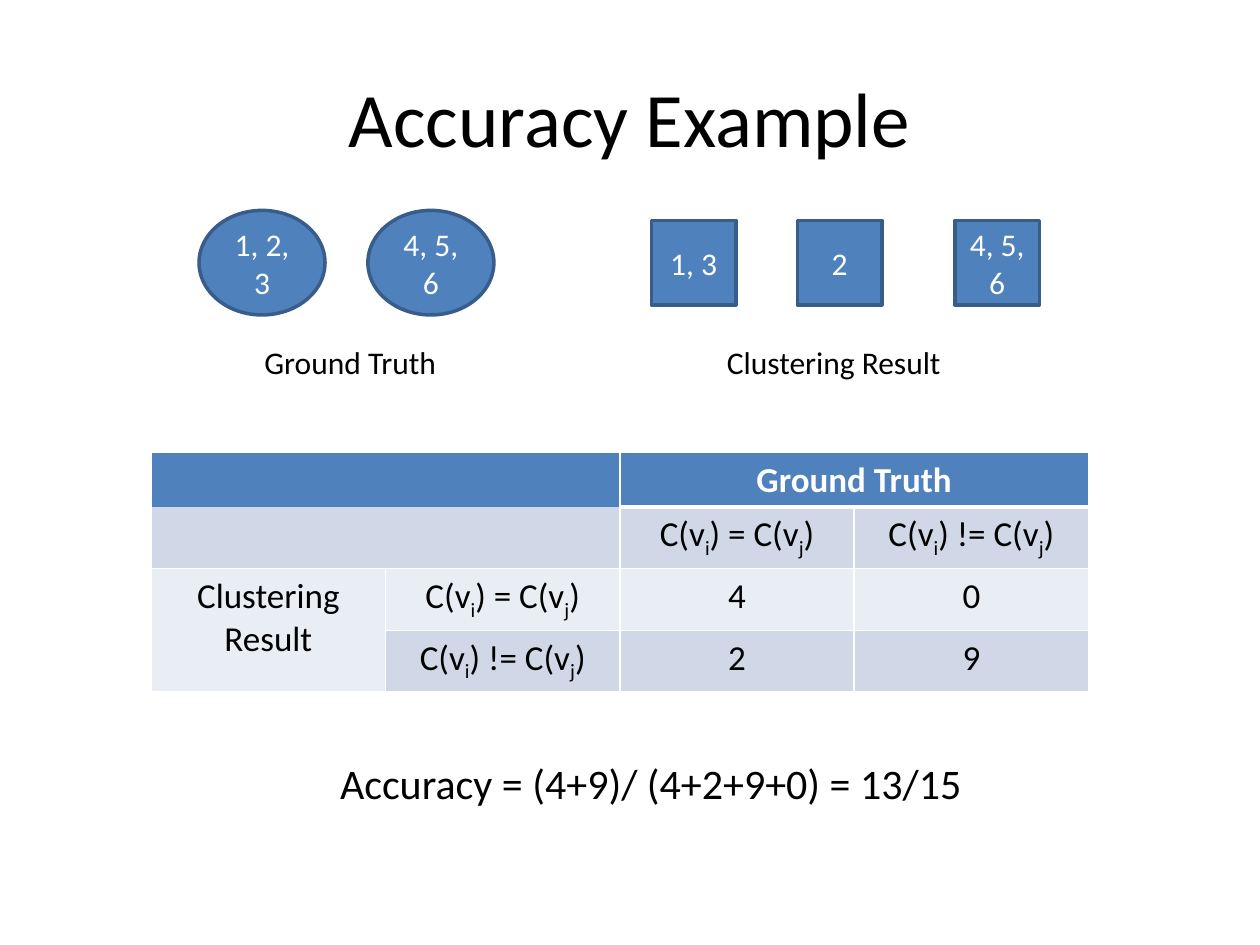
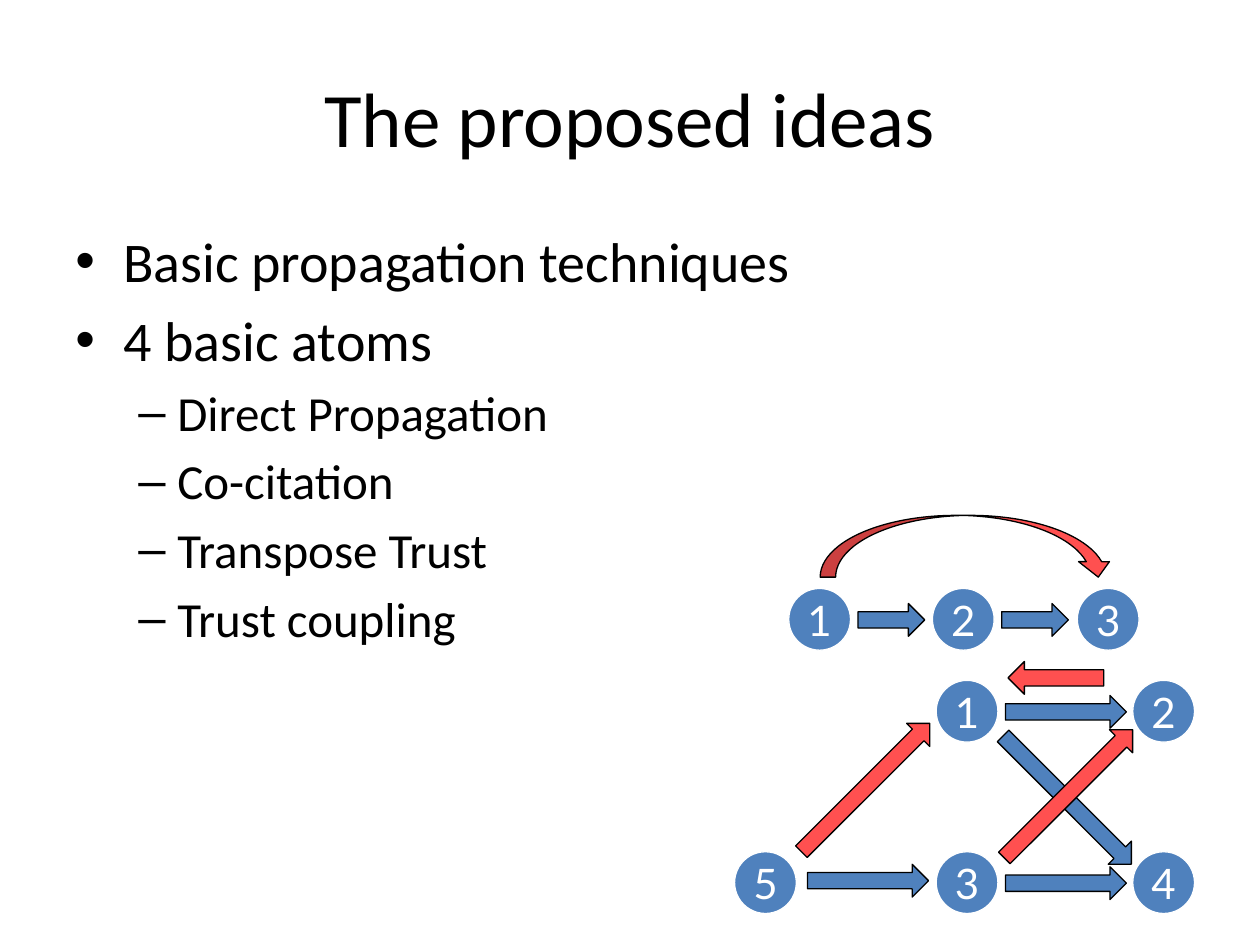
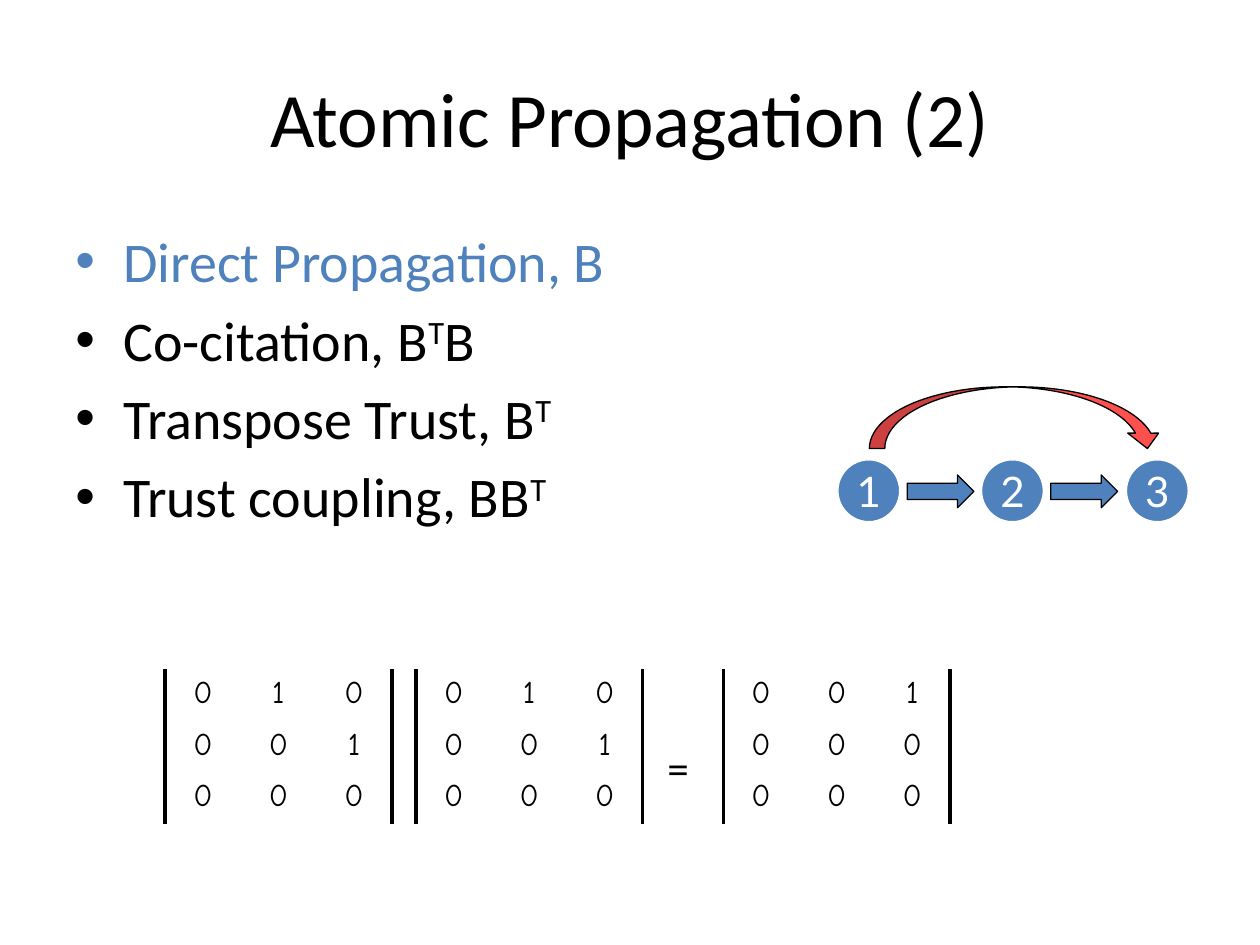
from lxml import etree
from pptx import Presentation
from pptx.dml.color import RGBColor
from pptx.enum.shapes import MSO_SHAPE
from pptx.enum.text import MSO_ANCHOR, PP_ALIGN
from pptx.oxml.ns import qn
from pptx.util import Pt

ELLIPSE, RECT = MSO_SHAPE.OVAL, MSO_SHAPE.RECTANGLE
ARROW, ARC_ARROW = MSO_SHAPE.RIGHT_ARROW, MSO_SHAPE.CURVED_DOWN_ARROW
LEFT, CENTER = PP_ALIGN.LEFT, PP_ALIGN.CENTER
TOP, MIDDLE = MSO_ANCHOR.TOP, MSO_ANCHOR.MIDDLE

BLACK = RGBColor(0x00, 0x00, 0x00)
WHITE = RGBColor(0xFF, 0xFF, 0xFF)
BLUE = RGBColor(0x4F, 0x81, 0xBD)
NAVY = RGBColor(0x38, 0x5D, 0x8A)
RED = RGBColor(0xFF, 0x50, 0x50)
BAND_DARK = RGBColor(0xD0, 0xD8, 0xE8)
BAND_LIGHT = RGBColor(0xE9, 0xED, 0xF4)

SANS, NODE_FONT, MATRIX_FONT = "Calibri", "Lato", "Comic Neue"
PLAIN_TABLE = "{2D5ABB26-0587-4C30-8999-92F81FD0307C}"
SUB, SUPER = -25, 30
NODE = 49
# Per level: bullet, size, left margin, hanging indent
LEVELS = [("•", 32, 38, 38), ("–", 28, 81, 31)]


def px(n):
    """100 px to the inch."""
    return n * 9144


class Deck:
    def __init__(self):
        self.prs = Presentation()
        self.prs.slide_width, self.prs.slide_height = px(1000), px(750)

    def slide(self, title):
        self.s = self.prs.slides.add_slide(self.prs.slide_layouts[6])
        self.text(50, 30, 900, 125, title, 44, align=CENTER, anchor=MIDDLE)

    def add_runs(self, p, text, size, color=BLACK, font=SANS, align=LEFT, bold=False, shift=SUB):
        """Fill a paragraph; every second part between bars is shifted."""
        p.alignment = align
        for i, part in enumerate(text.split("|")):
            if not part:
                continue
            r = p.add_run()
            r.text = part
            r.font.size, r.font.name, r.font.bold = Pt(size), font, bold
            r.font.color.rgb = color
            if i % 2:
                r._r.get_or_add_rPr().set("baseline", str(shift * 1000))

    def text(self, x, y, w, h, text, size, anchor=TOP, wrap=True, **style):
        tf = self.s.shapes.add_textbox(px(x), px(y), px(w), px(h)).text_frame
        tf.word_wrap, tf.vertical_anchor = wrap, anchor
        self.add_runs(tf.paragraphs[0], text, size, **style)

    def bullets(self, items):
        """Items are (level, text, colour)."""
        tf = self.s.shapes.add_textbox(px(50), px(175), px(900), px(495)).text_frame
        tf.word_wrap = True
        for i, (level, text, color) in enumerate(items):
            p = tf.add_paragraph() if i else tf.paragraphs[0]
            char, size, margin, hang = LEVELS[level]
            p.level = level
            pPr = p._p.get_or_add_pPr()
            pPr.set("marL", str(px(margin)))
            pPr.set("indent", str(px(-hang)))
            etree.SubElement(pPr, qn("a:buFont"), typeface="Arial")
            etree.SubElement(pPr, qn("a:buChar"), char=char)
            if i:
                p.space_before = Pt(size / 5)
            self.add_runs(p, text, size, color, shift=SUPER)

    def shape(self, kind, x, y, w, h, fill=BLUE, line=BLACK, weight=0.75, angle=0):
        sp = self.s.shapes.add_shape(kind, px(x), px(y), px(w), px(h))
        sp.shadow.inherit = False
        sp.fill.solid()
        sp.fill.fore_color.rgb = fill
        sp.line.color.rgb = line
        sp.line.width = Pt(weight)
        sp.rotation = angle
        return sp

    def cluster(self, kind, x, y, w, h, members):
        sp = self.shape(kind, x, y, w, h, line=NAVY, weight=2)
        sp.text_frame.word_wrap = True
        self.add_runs(sp.text_frame.paragraphs[0], members, 18, WHITE, align=CENTER)

    def node(self, x, y, label):
        tf = self.shape(ELLIPSE, x, y, NODE, NODE, line=WHITE).text_frame
        tf.margin_left = tf.margin_right = tf.margin_top = tf.margin_bottom = 0
        tf.word_wrap, tf.vertical_anchor = False, MIDDLE
        self.add_runs(tf.paragraphs[0], label, 24, WHITE, NODE_FONT, CENTER)

    def arrow(self, x, y, w, fill=BLUE, angle=0):
        self.shape(ARROW, x, y, w, 26, fill, angle=angle)

    def chain(self, x, y):
        """Direct propagation: 1 to 2 to 3, with the inferred link above."""
        lefts = [x + i * 229 // 2 for i in range(3)]
        for i, left in enumerate(lefts, 1):
            self.node(left, y, str(i))
        for left in lefts[:2]:
            self.arrow(left + 55, y + 12, 53)
        self.shape(ARC_ARROW, x + 25, y - 58, 233, 49, RED)

    def table(self, x, y, col_w, row_heights, n_cols):
        frame = self.s.shapes.add_table(len(row_heights), n_cols, px(x), px(y),
                                        px(col_w * n_cols), px(sum(row_heights)))
        table = frame.table
        table.first_row = table.horz_banding = False
        table._tbl.tblPr.find(qn("a:tableStyleId")).text = PLAIN_TABLE
        for col in table.columns:
            col.width = px(col_w)
        for row, height in zip(table.rows, row_heights):
            row.height = px(height)
        return table

    def cell(self, cell, text, size, borders, line, fill=None, **style):
        """Borders map the sides L, R, T, B, in that order, to point widths."""
        tcPr = cell._tc.get_or_add_tcPr()
        for side, weight in borders.items():
            ln = etree.SubElement(tcPr, qn("a:ln" + side), w=str(Pt(weight)))
            solid = etree.SubElement(ln, qn("a:solidFill"))
            etree.SubElement(solid, qn("a:srgbClr"), val=str(line))
        if fill is None:
            cell.fill.background()
        else:
            cell.fill.solid()
            cell.fill.fore_color.rgb = fill
        tf = cell.text_frame
        for i, row_text in enumerate(text.split("\n")):
            p = tf.add_paragraph() if i else tf.paragraphs[0]
            self.add_runs(p, row_text, size, align=CENTER, **style)

    def matrix(self, x, rows):
        table = self.table(x, 531, 60, [41] * 3, 3)
        edges = [{"L": 2.25}, {}, {"R": 2.25}]
        for r, row in enumerate(rows):
            for c, value in enumerate(row):
                self.cell(table.cell(r, c), value, 18, edges[c], BLACK, font=MATRIX_FONT)


def accuracy_slide(deck):
    deck.slide("Accuracy Example")

    # Pair counts
    same, different = "C(v|i|) = C(v|j|)", "C(v|i|) != C(v|j|)"
    rows = [["", "", "Ground Truth", ""],
            ["", "", same, different],
            ["Clustering\nResult", same, "4", "0"],
            ["", different, "2", "9"]]
    fills = [BLUE, BAND_DARK, BAND_LIGHT, BAND_DARK]
    table = deck.table(120, 359, 186, [43, 49, 49, 49], 4)
    for r, row in enumerate(rows):
        for c, text in enumerate(row):
            borders = dict.fromkeys("LRTB", 1)
            if r < 2:
                shared_side = "BT"[r]
                if c < 2:
                    del borders[shared_side]
                else:
                    borders[shared_side] = 3
            deck.cell(table.cell(r, c), text, 20, borders, WHITE, fills[r],
                      color=BLACK if r else WHITE, bold=r == 0)
    for first, last in [((0, 0), (0, 1)), ((0, 2), (0, 3)), ((1, 0), (1, 1)), ((2, 0), (3, 0))]:
        table.cell(*first).merge(table.cell(*last))

    # Clusters
    for x, members in [(158, "1, 2, 3"), (292, "4, 5, 6")]:
        deck.cluster(ELLIPSE, x, 167, 100, 83, members)
    for x, members in [(517, "1, 3"), (633, "2"), (758, "4, 5, 6")]:
        deck.cluster(RECT, x, 175, 67, 67, members)
    deck.text(200, 267, 169, 40, "Ground Truth", 18, wrap=False)
    deck.text(567, 267, 212, 40, "Clustering Result", 18, wrap=False)

    deck.text(260, 596, 519, 51, "Accuracy = (4+9)/ (4+2+9+0) = 13/15", 24, wrap=False)


def ideas_slide(deck):
    deck.slide("The proposed ideas")
    deck.bullets([(0, "Basic propagation techniques", BLACK),
                  (0, "4 basic atoms", BLACK),
                  (1, "Direct Propagation", BLACK),
                  (1, "Co-citation", BLACK),
                  (1, "Transpose Trust", BLACK),
                  (1, "Trust coupling", BLACK)])
    deck.chain(626, 467)

    # Trust graph: known links in blue, inferred links in red
    for x, y, label in [(899, 676, "4"), (743, 540, "1"), (899, 540, "2"),
                        (743, 676, "3"), (583, 676, "5")]:
        deck.node(x, y, label)
    for x, y in [(798, 552), (798, 688), (641, 686)]:
        deck.arrow(x, y, 96)
    deck.arrow(775, 622, 144, angle=45)
    for x, y in [(776, 617), (615, 612)]:
        deck.arrow(x, y, 144, RED, 315)
    deck.arrow(800, 525, 76, RED, 180)


def atomic_slide(deck):
    deck.slide("Atomic Propagation (2)")
    deck.bullets([(0, "Direct Propagation, B", BLUE),
                  (0, "Co-citation, B|T|B", BLACK),
                  (0, "Transpose Trust, B|T|", BLACK),
                  (0, "Trust coupling, BB|T|", BLACK)])
    deck.chain(665, 365)

    # B times B
    links = ["010", "001", "000"]
    deck.matrix(131, links)
    deck.matrix(330, links)
    deck.text(519, 548, 49, 55, "|=|", 40, font=NODE_FONT)
    deck.matrix(574, ["001", "000", "000"])


def main():
    deck = Deck()
    accuracy_slide(deck)
    ideas_slide(deck)
    atomic_slide(deck)
    deck.prs.save("out.pptx")


if __name__ == "__main__":
    main()
